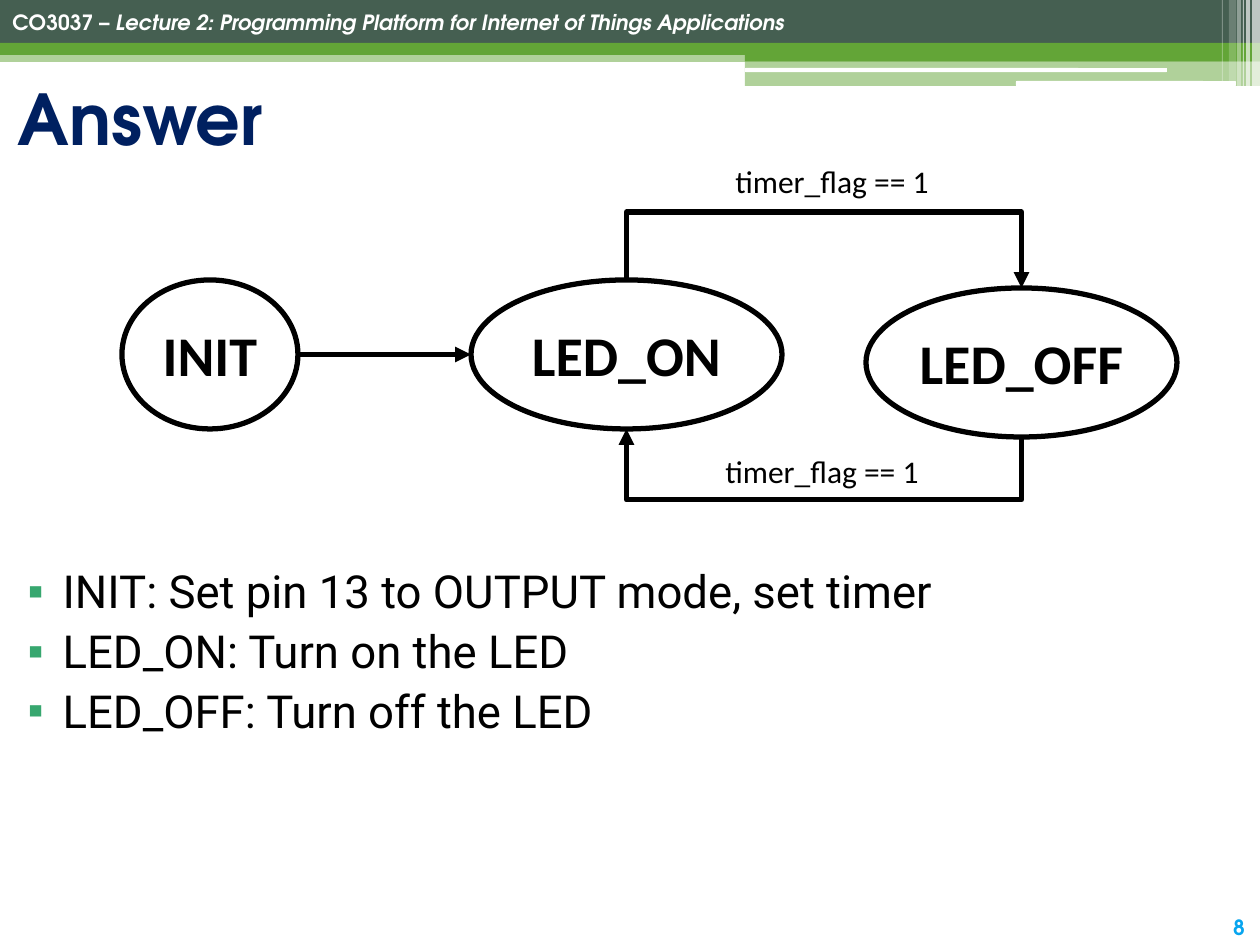
"""Build a lecture slide with a three-state LED state machine."""
from lxml import etree
from pptx import Presentation
from pptx import util as u
from pptx.dml import color
from pptx.enum import shapes, text
from pptx.oxml import ns

SCALE = 914400 / 126
WIDTH, HEIGHT = 1260, 945
COLORS = {
    "dark": "455F51", "green": "63A537", "white": "FFFFFF", "black": "000000",
    "navy": "002060", "bullet": "37A76F", "blue": "08A5EF",
}
HEADING_FONT, BODY_FONT, DIAGRAM_FONT = "TeX Gyre Adventor", "Roboto", "Calibri"

BANDS = [
    ("RECTANGLE", (0, 50, 1260, 12), "green", 50),
    ("RECTANGLE", (0, 0, 1260, 43), "dark", 100),
    ("RECTANGLE", (0, 43, 1260, 12), "green", 100),
    ("RECTANGLE", (745, 49, 515, 12), "green", 100),
    ("RECTANGLE", (745, 61, 515, 25), "green", 50),
    ("ROUNDED_RECTANGLE", (745, 68, 422, 4), "white", 100),
    ("ROUNDED_RECTANGLE", (1016, 81, 220, 5), "white", 100),
]
STRIPES = [
    (1252, 8, 86, 65), (1246, 4, 86, 65), (1243, 1, 86, 60),
    (1237, 4, 86, 40), (1229, 7, 81, 20), (1222, 1, 81, 30),
]
HEADER = [("CO3037 – ", False),
          ("Lecture 2: Programming Platform for Internet of Things Applications", True)]
TITLE = "Answer"
BULLETS = ["INIT: Set pin 13 to OUTPUT mode, set timer",
           "LED_ON: Turn on the LED",
           "LED_OFF: Turn off the LED"]
STATES = {
    "INIT": (122, 280, 176, 149),
    "LED_ON": (471, 280, 311, 149),
    "LED_OFF": (866, 288, 311, 149),
}
CONDITION = "timer_flag == 1"
CONDITION_SPOTS = [(723, 156), (713, 446)]
TOP_LANE, BOTTOM_LANE = 212, 500


def px(value):
    return u.Emu(round(value * SCALE))


def rgb(name):
    return color.RGBColor.from_string(COLORS[name])


def add_xml(parent, tag, **attributes):
    return etree.SubElement(parent, ns.qn(tag), attributes)


def style(run, font, size, name, bold=False, italic=False):
    run.font.name, run.font.size = font, u.Pt(size)
    run.font.bold, run.font.italic = bold, italic
    run.font.color.rgb = rgb(name)


def place(shape, box):
    shape.left, shape.top, shape.width, shape.height = map(px, box)


def add_band(slide, kind, box, name, opacity):
    shape = slide.shapes.add_shape(shapes.MSO_SHAPE[kind], *map(px, box))
    shape.shadow.inherit = False
    shape.fill.solid()
    shape.fill.fore_color.rgb = rgb(name)
    shape.line.fill.background()
    if opacity < 100:
        fill = shape.fill._xPr.find(ns.qn("a:solidFill"))
        add_xml(fill[0], "a:alpha", val=str(opacity * 1000))


def add_label(slide, box, runs, font, size, name, bold=False, align=text.PP_ALIGN.LEFT):
    frame = slide.shapes.add_textbox(*map(px, box)).text_frame
    frame.word_wrap = False
    frame.auto_size = text.MSO_AUTO_SIZE.SHAPE_TO_FIT_TEXT
    paragraph = frame.paragraphs[0]
    paragraph.alignment = align
    for words, italic in runs:
        run = paragraph.add_run()
        run.text = words
        style(run, font, size, name, bold, italic)


def add_state(slide, name, box):
    shape = slide.shapes.add_shape(shapes.MSO_SHAPE.OVAL, *map(px, box))
    shape.shadow.inherit = False
    shape.fill.background()
    shape.line.color.rgb = rgb("black")
    shape.line.width = u.Pt(3)
    frame = shape.text_frame
    frame.margin_left = frame.margin_right = 0
    frame.vertical_anchor = text.MSO_ANCHOR.MIDDLE
    frame.text = name
    frame.paragraphs[0].alignment = text.PP_ALIGN.CENTER
    style(frame.paragraphs[0].runs[0], DIAGRAM_FONT, 32, "black", True)


def add_arrow(slide, kind, start, end):
    arrow = slide.shapes.add_connector(kind, *map(px, start + end))
    arrow.line.color.rgb = rgb("black")
    arrow.line.width = u.Pt(3)
    add_xml(arrow.line._get_or_add_ln(), "a:tailEnd", type="triangle")
    add_xml(arrow._element.spPr, "a:effectLst")
    return arrow


def add_loop(slide, start, end, lane, degrees):
    """Route an elbow arrow through a horizontal lane beyond both ends."""
    arrow = add_arrow(slide, shapes.MSO_CONNECTOR.ELBOW, start, end)
    span, rise = abs(end[0] - start[0]), abs(end[1] - start[1])
    middle_x, middle_y = (start[0] + end[0]) / 2, (start[1] + end[1]) / 2
    place(arrow, (middle_x - rise / 2, middle_y - span / 2, rise, span))
    properties = arrow._element.spPr
    frame = properties.find(ns.qn("a:xfrm"))
    frame.attrib.pop("flipV", None)
    frame.set("flipH", "1")
    frame.set("rot", str(degrees * 60000))
    guides = properties.find(ns.qn("a:prstGeom")).find(ns.qn("a:avLst"))
    bend = -round(abs(lane - start[1]) / rise * 100000)
    add_xml(guides, "a:gd", name="adj1", fmla=f"val {bend}")


def fill_title(shape):
    place(shape, (5, 66, 1241, 103))
    frame = shape.text_frame
    frame.text = TITLE
    frame.vertical_anchor = text.MSO_ANCHOR.MIDDLE
    frame.paragraphs[0].alignment = text.PP_ALIGN.LEFT
    style(frame.paragraphs[0].runs[0], HEADING_FONT, 40, "navy", True)


def fill_body(shape):
    place(shape, (0, 557, 1241, 267))
    frame = shape.text_frame
    frame.text = "\n".join(BULLETS)
    for paragraph in frame.paragraphs:
        paragraph.space_before = u.Pt(3)
        style(paragraph.runs[0], BODY_FONT, 26, "black")
        properties = paragraph._p.get_or_add_pPr()
        properties.set("marL", str(px(50)))
        properties.set("indent", str(-px(35)))
        marker = add_xml(properties, "a:buClr")
        add_xml(marker, "a:srgbClr", val=COLORS["bullet"])
        add_xml(properties, "a:buChar", char="▪")


def main():
    presentation = Presentation()
    presentation.slide_width, presentation.slide_height = px(WIDTH), px(HEIGHT)
    slide = presentation.slides.add_slide(presentation.slide_layouts[1])

    for band in BANDS:
        add_band(slide, *band)
    for left, width, height, opacity in STRIPES:
        add_band(slide, "RECTANGLE", (left, 0, width, height), "white", opacity)
    add_label(slide, (0, 3, 808, 38), HEADER, HEADING_FONT, 12, "white", True)
    add_label(slide, (1215, 908, 48, 38), [("8", False)], HEADING_FONT, 12, "blue",
              True, text.PP_ALIGN.CENTER)
    fill_title(slide.shapes.title)
    fill_body(slide.placeholders[1])

    sides = {}
    for name, box in STATES.items():
        add_state(slide, name, box)
        left, top, width, height = box
        center_x, center_y = left + width / 2, top + height / 2
        sides[name] = {"top": (center_x, top), "bottom": (center_x, top + height),
                       "left": (left, center_y), "right": (left + width, center_y)}
    init, led_on, led_off = sides.values()
    add_arrow(slide, shapes.MSO_CONNECTOR.STRAIGHT, init["right"], led_on["left"])
    add_loop(slide, led_on["top"], led_off["top"], TOP_LANE, 270)
    add_loop(slide, led_off["bottom"], led_on["bottom"], BOTTOM_LANE, 90)
    for left, top in CONDITION_SPOTS:
        add_label(slide, (left, top, 222, 50), [(CONDITION, False)], DIAGRAM_FONT, 18, "black")

    presentation.save("out.pptx")


if __name__ == "__main__":
    main()
